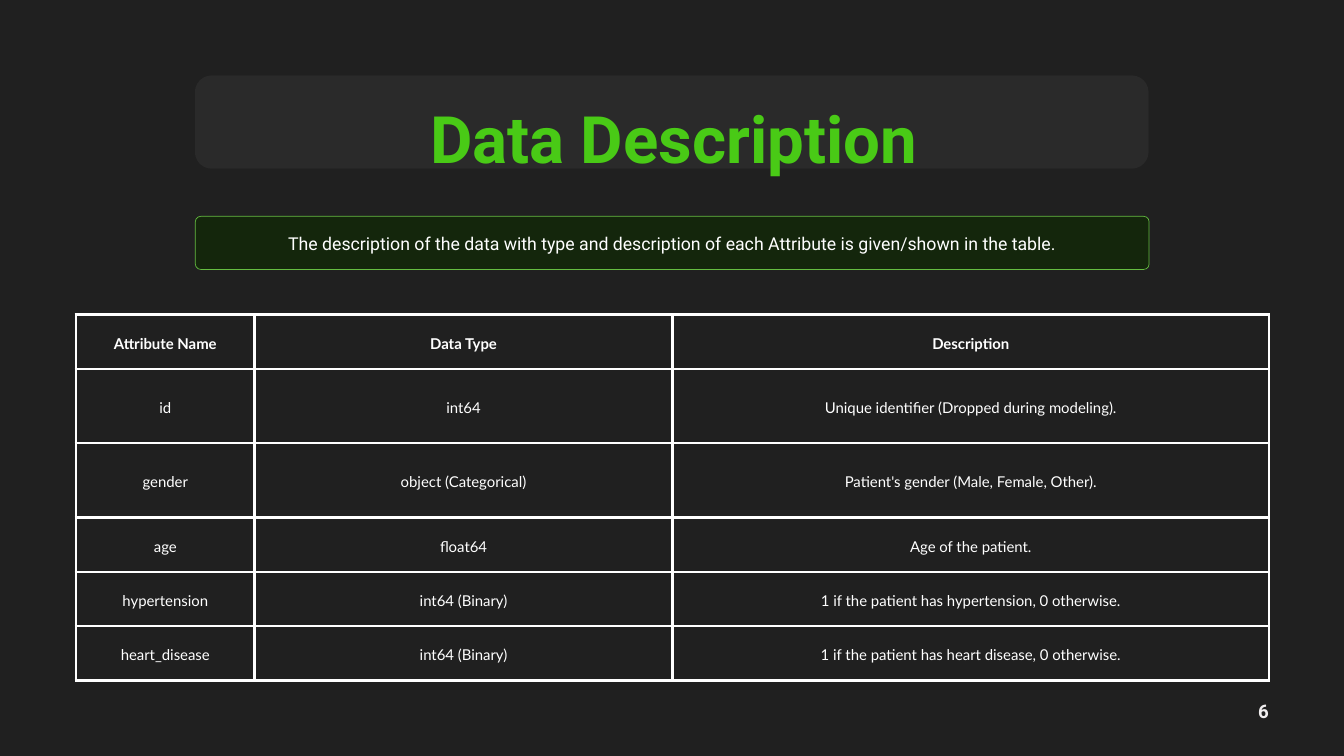
from typing import NamedTuple

from lxml.etree import SubElement
from pptx import Presentation
from pptx.dml.color import RGBColor
from pptx.enum.shapes import MSO_SHAPE
from pptx.enum.text import MSO_ANCHOR, MSO_AUTO_SIZE, PP_ALIGN
from pptx.oxml.ns import qn
from pptx.util import Pt

BACKGROUND = RGBColor(0x20, 0x20, 0x20)
PANEL_GREY = RGBColor(0x2C, 0x2C, 0x2C)
PANEL_GREEN = RGBColor(0x10, 0x29, 0x06)
OUTLINE_GREEN = RGBColor(0x7E, 0xF2, 0x50)
TITLE_GREEN = RGBColor(0x49, 0xCA, 0x16)
OFF_WHITE = RGBColor(0xF1, 0xEE, 0xEF)
WHITE = RGBColor(0xFF, 0xFF, 0xFF)


class Box(NamedTuple):
    left: float
    top: float
    width: float
    height: float


class Style(NamedTuple):
    font: str
    size: float
    color: RGBColor
    line_height: float
    bold: bool = False


class Panel(NamedTuple):
    box: Box
    radius: float
    fill: RGBColor
    opacity: int
    outline: RGBColor | None = None


class Label(NamedTuple):
    text: str
    box: Box
    style: Style
    wrap: bool = True


TITLE_PANEL = Panel(Box(208.8, 80.8, 1021.9, 100), 18, PANEL_GREY, 90)
INTRO_PANEL = Panel(Box(209.3, 231.8, 1021.9, 56.9), 5.8, PANEL_GREEN, 75, OUTLINE_GREEN)

TITLE = Label("Data Description", Box(227.5, 49, 988.6, 123.1),
              Style("Roboto", 70, TITLE_GREEN, 140, True))
INTRO = Label("The description of the data with type and description of each "
              "Attribute is given/shown in the table.",
              Box(233.3, 241.2, 973.4, 28.8), Style("Roboto", 19, WHITE, 30.7))
PAGE_NUMBER = Label("6", Box(1347.8, 745.9, 12.2, 16.6),
                    Style("Roboto", 20, OFF_WHITE, 28, True), wrap=False)

TABLE_BOX = Box(81.4, 337, 1278, 392.4)
COLUMN_WIDTHS = (191.5, 447.6, 639.4)
ROW_HEIGHTS = (58.2, 79.7, 79.7, 58.2, 58.2, 58.2)
CELL_MARGIN = 15
BORDER_WIDTH = 3
HEADER_STYLE = Style("Lato", 16, WHITE, 22.4, True)
BODY_STYLE = HEADER_STYLE._replace(bold=False)
ROWS = (
    ("Attribute Name", "Data Type", "Description"),
    ("id", "int64", "Unique identifier (Dropped during modeling)."),
    ("gender", "object (Categorical)", "Patient's gender (Male, Female, Other)."),
    ("age", "float64", "Age of the patient."),
    ("hypertension", "int64 (Binary)", "1 if the patient has hypertension, 0 otherwise."),
    ("heart_disease", "int64 (Binary)", "1 if the patient has heart disease, 0 otherwise."),
)


def points(values: tuple) -> list:
    return [Pt(v) for v in values]


def set_opacity(color_parent, percent: int) -> None:
    """Add an alpha value to the solid colour inside a fill or line element."""
    color = color_parent.find(qn("a:solidFill")).find(qn("a:srgbClr"))
    SubElement(color, qn("a:alpha"), val=str(percent * 1000))


def write_text(tf, text: str, style: Style) -> None:
    p = tf.paragraphs[0]
    p.text = text
    p.alignment = PP_ALIGN.CENTER
    p.line_spacing = Pt(style.line_height)
    font = p.runs[0].font
    font.name, font.size, font.bold = style.font, Pt(style.size), style.bold
    font.color.rgb = style.color


def add_panel(s, panel: Panel) -> None:
    sp = s.shapes.add_shape(MSO_SHAPE.ROUNDED_RECTANGLE, *points(panel.box))
    sp.adjustments[0] = panel.radius / panel.box.height
    sp.shadow.inherit = False
    sp.fill.solid()
    sp.fill.fore_color.rgb = panel.fill
    set_opacity(sp._element.spPr, panel.opacity)
    if panel.outline is None:
        sp.line.fill.background()
    else:
        sp.line.color.rgb = panel.outline
        sp.line.width = Pt(0.75)
        set_opacity(sp.line._get_or_add_ln(), panel.opacity)


def add_label(s, label: Label) -> None:
    tf = s.shapes.add_textbox(*points(label.box)).text_frame
    tf.margin_left = tf.margin_top = tf.margin_right = tf.margin_bottom = 0
    tf.word_wrap = label.wrap
    tf.auto_size = MSO_AUTO_SIZE.SHAPE_TO_FIT_TEXT
    write_text(tf, label.text, label.style)


def format_cell(cell, text: str, style: Style) -> None:
    cell.margin_left = cell.margin_right = Pt(CELL_MARGIN)
    cell.margin_top = cell.margin_bottom = Pt(CELL_MARGIN)
    cell.vertical_anchor = MSO_ANCHOR.MIDDLE
    write_text(cell.text_frame, text, style)
    # Borders come before the fill in the cell properties
    tc_pr = cell._tc.get_or_add_tcPr()
    for side in ("a:lnL", "a:lnR", "a:lnT", "a:lnB"):
        ln = SubElement(tc_pr, qn(side), w=str(Pt(BORDER_WIDTH)))
        fill = SubElement(ln, qn("a:solidFill"))
        SubElement(fill, qn("a:srgbClr"), val=str(WHITE))
    cell.fill.background()


def add_attribute_table(s) -> None:
    table = s.shapes.add_table(len(ROWS), len(COLUMN_WIDTHS), *points(TABLE_BOX)).table
    table.first_row = table.horz_banding = False
    for column, width in zip(table.columns, COLUMN_WIDTHS):
        column.width = Pt(width)
    for i, (row, height) in enumerate(zip(table.rows, ROW_HEIGHTS)):
        row.height = Pt(height)
        style = BODY_STYLE if i else HEADER_STYLE
        for cell, text in zip(row.cells, ROWS[i]):
            format_cell(cell, text, style)


def main() -> None:
    prs = Presentation()
    prs.slide_width, prs.slide_height = Pt(1440), Pt(810)
    s = prs.slides.add_slide(prs.slide_layouts[6])
    s.background.fill.solid()
    s.background.fill.fore_color.rgb = BACKGROUND

    # Title
    add_panel(s, TITLE_PANEL)
    add_label(s, TITLE)

    # Attribute table and page number
    add_attribute_table(s)
    add_label(s, PAGE_NUMBER)

    # Introduction
    add_panel(s, INTRO_PANEL)
    add_label(s, INTRO)

    prs.save("out.pptx")


if __name__ == "__main__":
    main()
